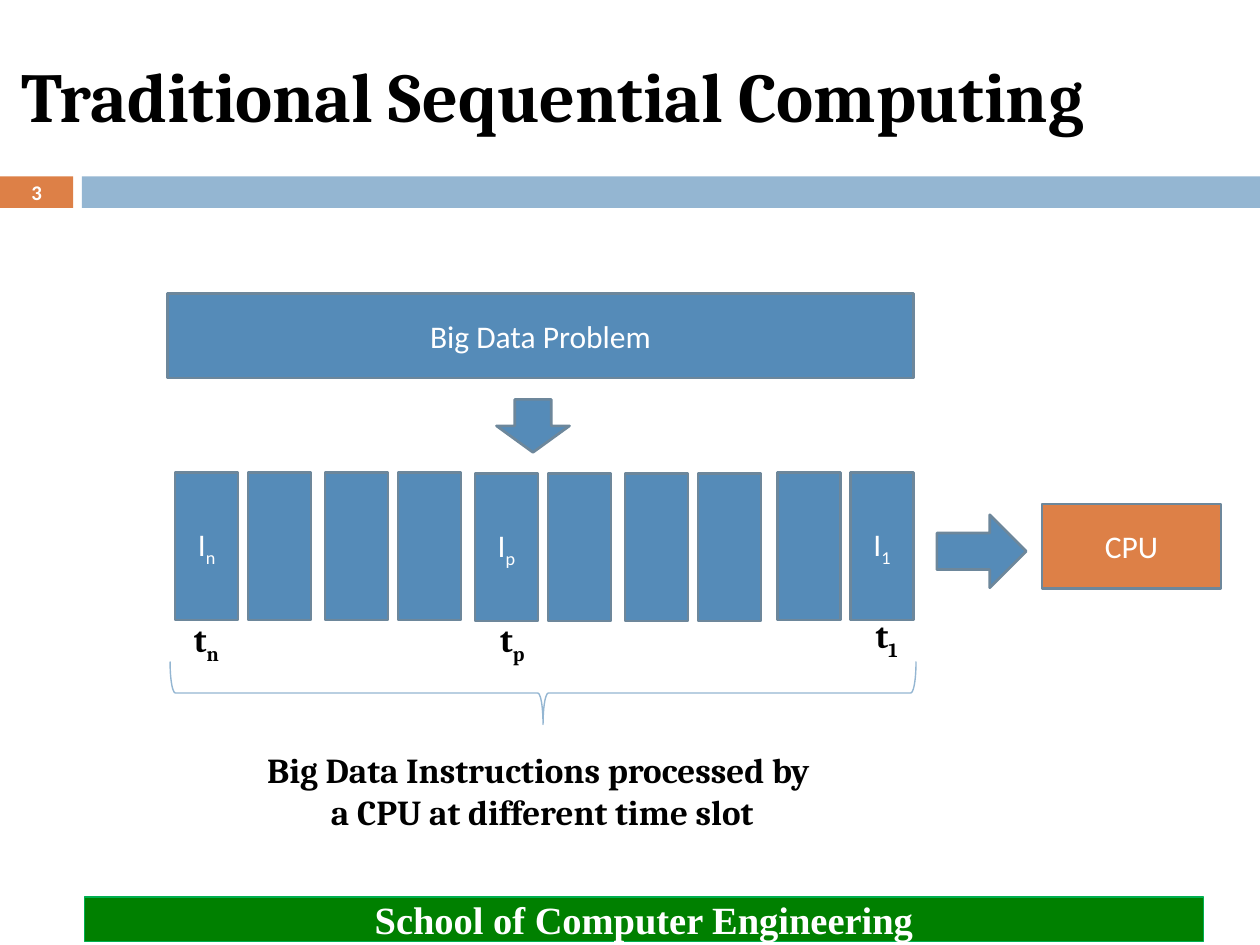
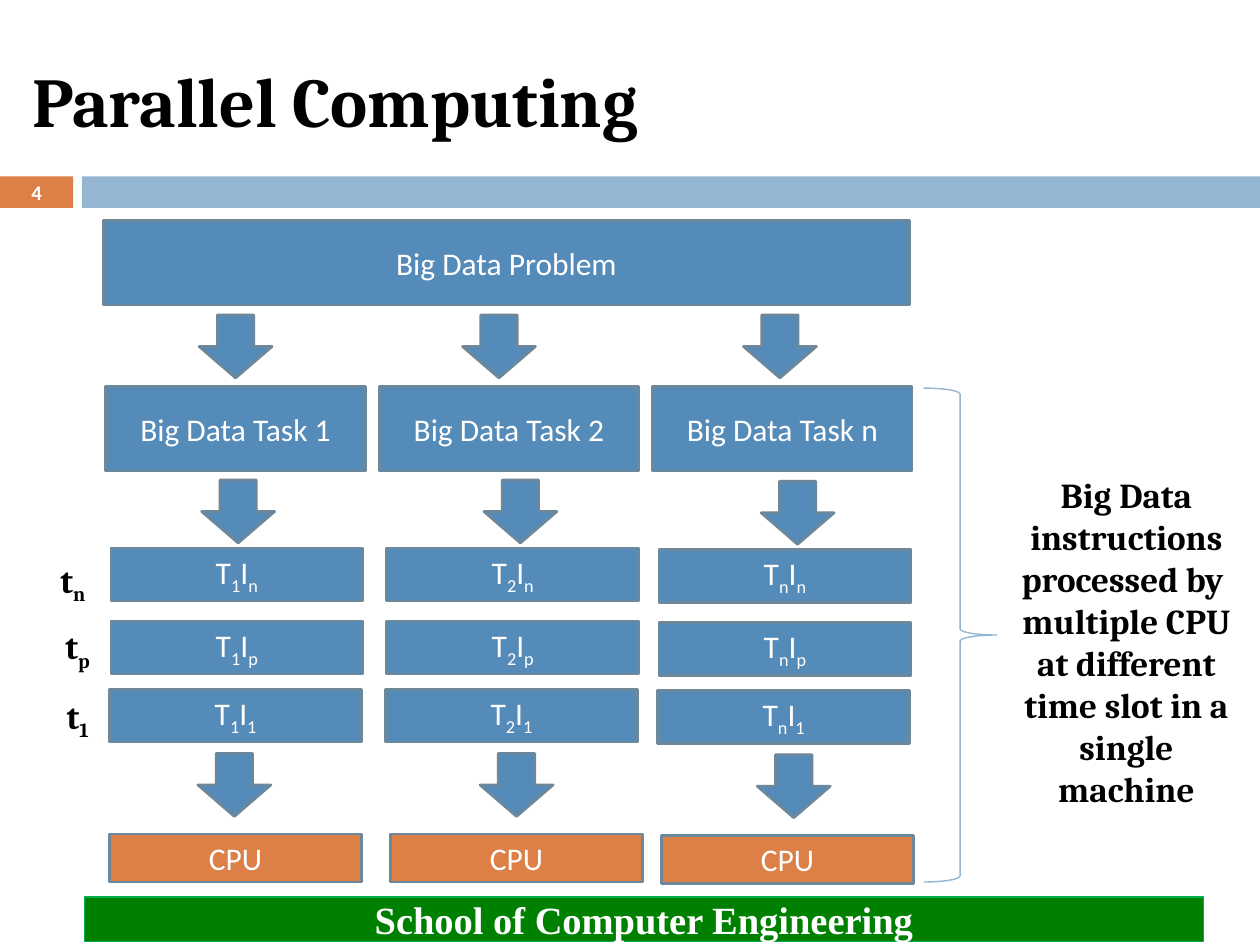
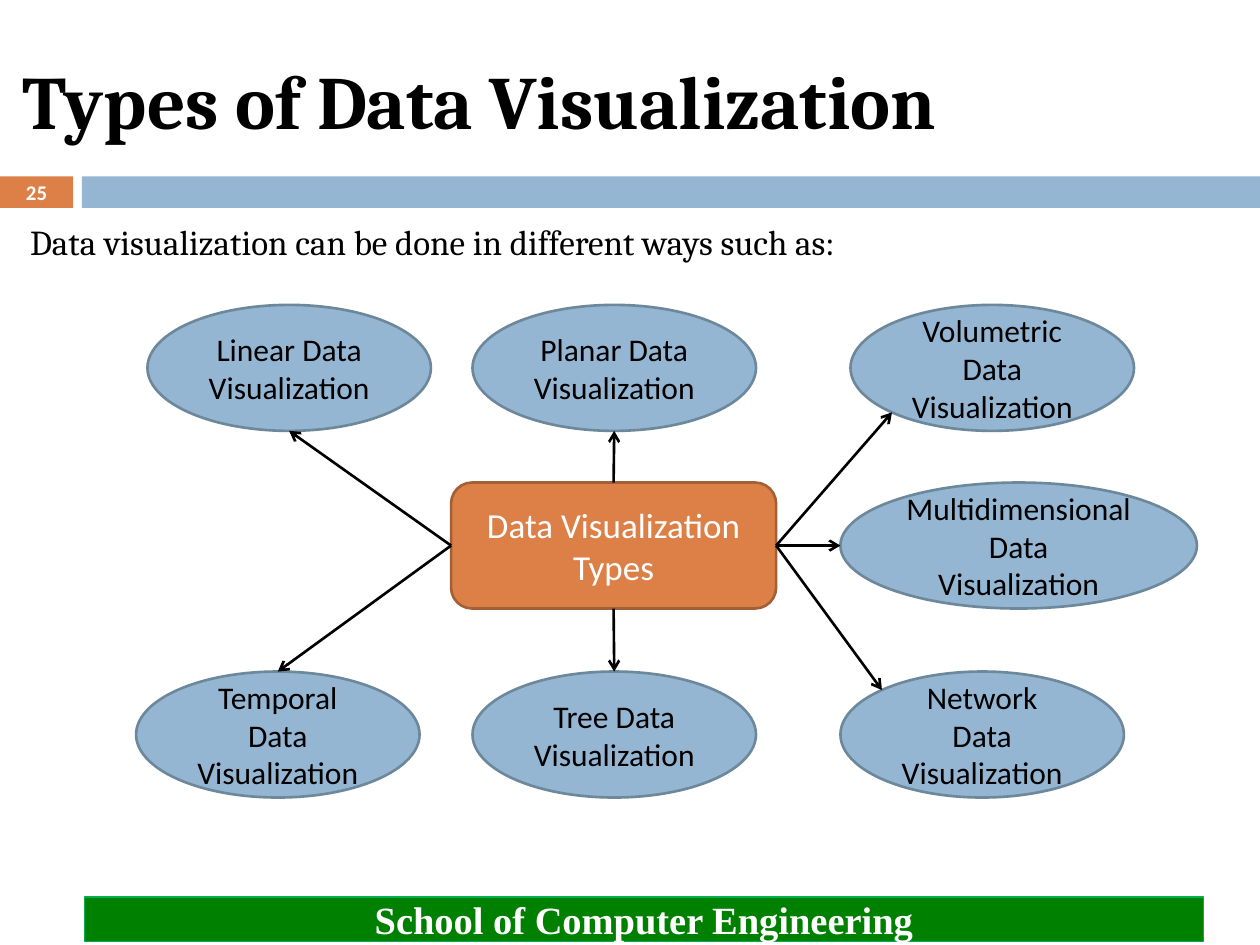
import math
from dataclasses import dataclass

from lxml import etree
from pptx import Presentation
from pptx.dml.color import RGBColor
from pptx.enum.shapes import MSO_CONNECTOR, MSO_SHAPE
from pptx.enum.text import MSO_ANCHOR, MSO_AUTO_SIZE, PP_ALIGN
from pptx.oxml.ns import qn
from pptx.util import Inches, Pt

RECT, ROUND, OVAL = MSO_SHAPE.RECTANGLE, MSO_SHAPE.ROUNDED_RECTANGLE, MSO_SHAPE.OVAL
DOWN, LBRACE, RBRACE = MSO_SHAPE.DOWN_ARROW, MSO_SHAPE.LEFT_BRACE, MSO_SHAPE.RIGHT_BRACE
LEFT, CENTER, JUSTIFY = PP_ALIGN.LEFT, PP_ALIGN.CENTER, PP_ALIGN.JUSTIFY
TOP, MIDDLE = MSO_ANCHOR.TOP, MSO_ANCHOR.MIDDLE
GROW, STRAIGHT = MSO_AUTO_SIZE.SHAPE_TO_FIT_TEXT, MSO_CONNECTOR.STRAIGHT


@dataclass(frozen=True)
class Theme:
    blue: str = "558BB8"
    pale: str = "94B6D2"
    edge: str = "6D879B"
    orange: str = "DD8047"
    rust: str = "A35F35"
    green: str = "008000"
    lime: str = "00B050"
    white: str = "FFFFFF"
    black: str = "000000"
    sans: str = "Calibri"
    serif: str = "Cambria"
    roman: str = "Times New Roman"
    label: float = 18
    note: float = 20
    foot: float = 22
    page: float = 11.9
    line: float = 1.5


T = Theme()

# In labels, the character after "_" is a subscript.
FOOTER = "School of Computer Engineering"
PROBLEM = "Big Data Problem"

# Sequential: left and top of each pair of cells, labels by cell number
PAIRS = [(1.39, 3.75), (2.58, 3.75), (3.77, 3.76), (4.96, 3.76), (6.17, 3.75)]
CELLS = {0: "I_n", 4: "I_p", 9: "I_1"}
SLOTS = [("t_n", 1.44, 4.85, 0.42), ("t_p", 3.87, 4.85, 0.42), ("t_1", 6.85, 4.82, 0.41)]
SERIAL = ["Big Data Instructions processed by ", "a CPU at different time slot"]

# Parallel: task, lefts of (arrow, task, arrow, cell, arrow, CPU), drop of the column
TASKS = [
    ("1", (1.58, 0.84, 1.6, 0.88, 1.57, 0.87), 0),
    ("2", (3.67, 3.01, 3.84, 3.07, 3.81, 3.1), 0),
    ("n", (5.9, 5.18, 6.04, 5.23, 6.01, 5.25), 0.01),
]
# Slot, top of its cells, shift of its cells, place of its time label
STEPS = [("n", 4.35, 0, (0.38, 4.38)), ("p", 4.93, 0, (0.42, 4.91)),
         ("1", 5.47, -0.01, (0.43, 5.46))]
SHARED = ["Big Data instructions processed by ",
          "multiple CPU at different time slot in a single machine"]

# Visualization: kind, left, top, width, hub side (x, y), angle of arrival on the oval
INTRO = "Data visualization can be done in different ways such as:"
HUB = (3.58, 3.83, 2.58, 1)
KINDS = [
    ("Linear", 1.17, 2.42, 2.25, (0, 0.5), 90),
    ("Planar", 3.75, 2.42, 2.25, (0.5, 0), 90),
    ("Volumetric", 6.75, 2.42, 2.25, (1, 0.5), 135),
    ("Temporal", 1.08, 5.33, 2.25, (0, 0.5), 270),
    ("Multidimensional", 6.67, 3.83, 2.83, (1, 0.5), 180),
    ("Network", 6.67, 5.33, 2.25, (1, 0.5), 225),
    ("Tree", 3.75, 5.33, 2.25, (0.5, 1), 270),
]


def write(shape, text, *, size=T.label, font=T.sans, color=T.white, bold=False,
          align=CENTER, anchor=MIDDLE, wrap=True, grow=False):
    """Fill a shape with one paragraph, or one for each item of a list."""
    frame = shape.text_frame
    frame.word_wrap = wrap
    frame.vertical_anchor = anchor
    if grow:
        frame.auto_size = GROW
    for i, line in enumerate([text] if isinstance(text, str) else text):
        para = frame.paragraphs[0] if i == 0 else frame.add_paragraph()
        para.alignment = align
        first, *rest = line.split("_")
        parts = [(first, False)]
        for part in rest:
            parts += [(part[0], True), (part[1:], False)]
        for words, sub in parts:
            if not words:
                continue
            run = para.add_run()
            run.text = words
            run.font.size, run.font.name, run.font.bold = Pt(size), font, bold
            run.font.color.rgb = RGBColor.from_string(color)
            if sub:
                run.font._element.set("baseline", "-25000")


def draw(slide, kind, box, text="", *, fill=T.blue, line=T.edge, width=T.line,
         turn=0, **look):
    shape = slide.shapes.add_shape(kind, *map(Inches, box))
    shape.shadow.inherit = False
    shape.rotation = turn
    if fill:
        shape.fill.solid()
        shape.fill.fore_color.rgb = RGBColor.from_string(fill)
    else:
        shape.fill.background()
    if line:
        shape.line.color.rgb = RGBColor.from_string(line)
        shape.line.width = Pt(width)
    else:
        shape.line.fill.background()
    if text:
        write(shape, text, **look)


def note(slide, box, text, **look):
    style = dict(size=T.note, font=T.serif, color=T.black, bold=True, align=LEFT,
                 anchor=TOP, grow=True)
    write(slide.shapes.add_textbox(*map(Inches, box)), text, **{**style, **look})


def arrow(slide, start, end):
    link = slide.shapes.add_connector(STRAIGHT, *map(Inches, (*start, *end)))
    link.line.color.rgb = RGBColor.from_string(T.black)
    link.line.width = Pt(T.line)
    etree.SubElement(link.line._get_or_add_ln(), qn("a:tailEnd"), type="arrow")
    etree.SubElement(link._element.spPr, qn("a:effectLst"))


def brace(slide, kind, box, turn=0):
    draw(slide, kind, box, fill=None, line=T.pale, width=0.79, turn=turn)


def start(deck, title, page, left, top, size=40):
    """Add a slide with its title, bands, page number and footer."""
    slide = deck.slides.add_slide(deck.slide_layouts[6])
    draw(slide, RECT, (0, 1.4, 0.58, 0.25), fill=T.orange, line=None)
    draw(slide, RECT, (0.65, 1.4, 9.35, 0.25), fill=T.pale, line=None)
    note(slide, (left, top, 8.92, 1.08), title, size=size, anchor=MIDDLE, grow=False)
    draw(slide, RECT, (0.67, 7.12, 8.88, 0.35), FOOTER, fill=T.green, line=T.lime,
         width=0.75, size=T.foot, font=T.roman, bold=True)
    note(slide, (0, 1.39, 0.58, 0.27), page, size=T.page, font=T.sans,
         color=T.white, align=CENTER, anchor=MIDDLE, grow=False)
    return slide


def serial(deck):
    slide = start(deck, "Traditional Sequential Computing", "3", 0.07, 0.21)
    draw(slide, RECT, (1.33, 2.33, 5.92, 0.67), PROBLEM)
    draw(slide, DOWN, (3.94, 3.17, 0.58, 0.42))
    for i in range(2 * len(PAIRS)):
        left, top = PAIRS[i // 2]
        draw(slide, RECT, (left + 0.58 * (i % 2), top, 0.5, 1.17), CELLS.get(i, ""))
    draw(slide, RECT, (8.27, 4, 1.42, 0.67), "CPU", fill=T.orange)
    draw(slide, DOWN, (7.5, 4.02, 0.58, 0.71), turn=270)
    for text, left, top, width in SLOTS:
        note(slide, (left, top, width, 0.44), text, wrap=False)
    brace(slide, LBRACE, (4.06, 2.54, 0.5, 5.92), 270)
    note(slide, (1.95, 5.89, 4.71, 0.77), SERIAL, align=CENTER, wrap=False)


def parallel(deck):
    slide = start(deck, "Parallel Computing", "4", 0.16, 0.25)
    draw(slide, RECT, (0.82, 1.75, 6.4, 0.67), PROBLEM)
    for task, (split, head, feed, cell, exit, cpu), drop in TASKS:
        for left, top in ((split, 2.5), (feed, 3.81 + drop), (exit, 5.98 + drop)):
            draw(slide, DOWN, (left, top, 0.58, 0.5))
        draw(slide, RECT, (head, 3.07, 2.06, 0.67), f"Big Data Task {task}")
        for slot, top, shift, _ in STEPS:
            draw(slide, RECT, (cell + shift, top + drop, 2, 0.42), f"T_{task}I_{slot}")
        draw(slide, RECT, (cpu, 6.62 + drop, 2, 0.38), "CPU", fill=T.orange)
    for slot, _, _, place in STEPS:
        note(slide, (*place, 0.42, 0.44), f"t_{slot}", wrap=False)
    brace(slide, RBRACE, (7.33, 3.08, 0.58, 3.92))
    note(slide, (7.98, 3.71, 1.92, 2.79), SHARED, align=CENTER)


def visual(deck):
    slide = start(deck, "Types of Data Visualization", "25", 0.08, 0.25, 43)
    note(slide, (0.14, 1.7, 9.69, 0.44), INTRO, bold=False, align=JUSTIFY)
    draw(slide, ROUND, HUB, "Data Visualization Types", fill=T.orange, line=T.rust,
         size=T.note)
    x, y, wide, high = HUB
    for kind, left, top, width, (across, down), angle in KINDS:
        draw(slide, OVAL, (left, top, width, high), f"{kind} Data Visualization",
             fill=T.pale, color=T.black)
        turn = math.radians(angle)
        end = (left + width / 2 * (1 + math.cos(turn)),
               top + high / 2 * (1 + math.sin(turn)))
        arrow(slide, (x + wide * across, y + high * down), end)


def main():
    deck = Presentation()
    deck.slide_width, deck.slide_height = Inches(10), Inches(7.5)
    for build in (serial, parallel, visual):
        build(deck)
    deck.save("out.pptx")


if __name__ == "__main__":
    main()
